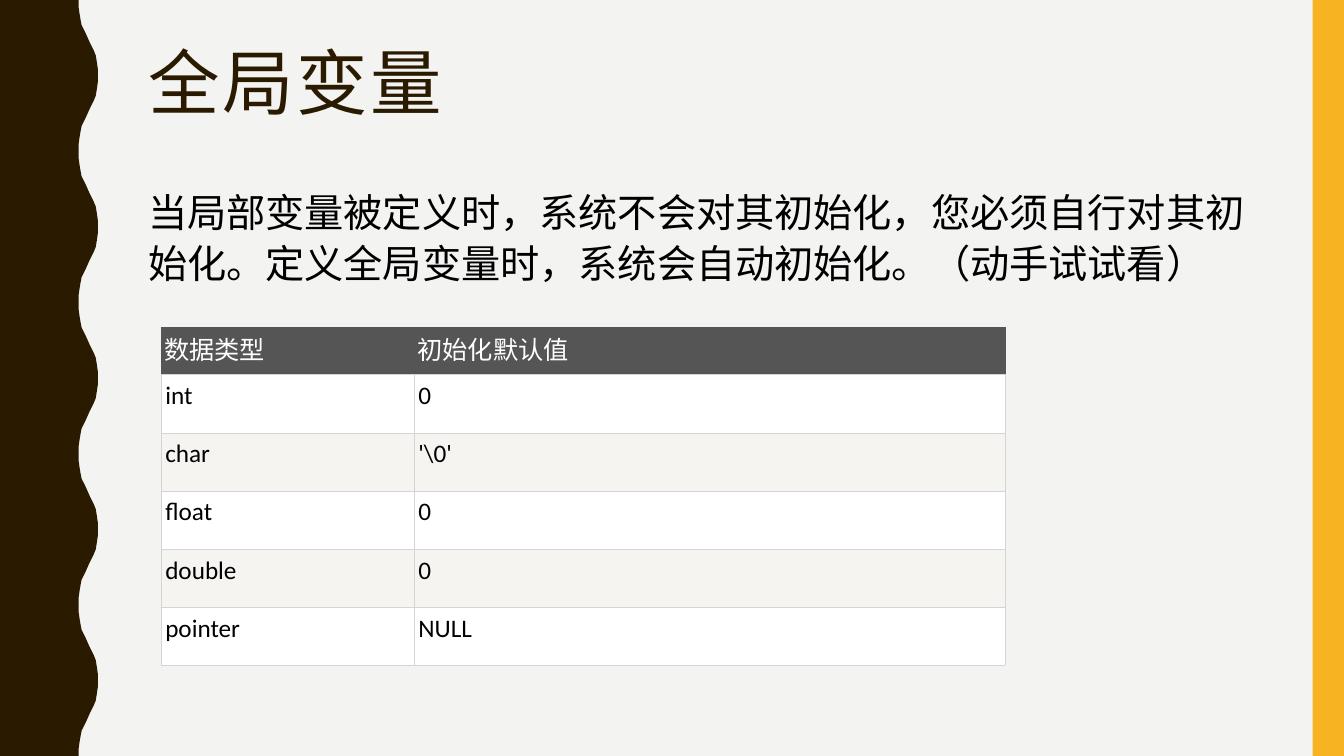
from dataclasses import dataclass
from typing import NamedTuple

from lxml import etree
from pptx import Presentation, util as u
from pptx.dml.color import RGBColor
from pptx.enum import shapes, text
from pptx.oxml.ns import qn

WIDE, HIGH = u.Inches(13.33), u.Inches(7.5)


@dataclass(frozen=True)
class Theme:
    back: str = "F3F3F2"
    dark: str = "2A1A00"
    gold: str = "F8B323"
    ink: str = "000000"
    white: str = "FFFFFF"
    band: str = "F6F4F0"
    head: str = "555555"
    rule: str = "D4D4D4"
    title: float = 51
    body: float = 28
    cell: float = 18
    face: str = "Roboto Condensed"
    font: str = "Calibri"


class Box(NamedTuple):
    """Left, top, width and height in percent of the slide."""
    x: float
    y: float
    w: float
    h: float

    def place(self) -> tuple[int, int, int, int]:
        return (round(self.x * WIDE / 100), round(self.y * HIGH / 100),
                round(self.w * WIDE / 100), round(self.h * HIGH / 100))


class Row(NamedTuple):
    kind: str
    value: str


T = Theme()


def color(code: str) -> RGBColor:
    return RGBColor.from_string(code)


def paint(shape, code: str) -> None:
    shape.shadow.inherit = False
    shape.fill.solid()
    shape.fill.fore_color.rgb = color(code)
    shape.line.fill.background()


def write(frame, words: str, face: str, size: float, code: str):
    frame.word_wrap = True
    para = frame.paragraphs[0]
    para.text = words
    para.alignment = text.PP_ALIGN.LEFT
    para.font.name, para.font.size = face, u.Pt(size)
    para.font.color.rgb = color(code)
    return para


def edge(cell, code: str, base: str) -> None:
    props = cell._tc.get_or_add_tcPr()
    for i, side in enumerate("LRTB"):
        line = etree.Element(qn(f"a:ln{side}"), w=str(u.Pt(0.6)))
        fill = etree.SubElement(line, qn("a:solidFill"))
        etree.SubElement(fill, qn("a:srgbClr"), val=base if side == "B" else code)
        props.insert(i, line)


def wave(slide) -> None:
    # Half a wave as (across, down) in hundredths of an inch, then mirrored
    half = [(78, 0), (78, 7), (79, 14), (80, 20), (81, 25), (83, 29), (85, 33),
            (89, 42), (93, 50), (95, 55), (96, 61), (97, 68), (97, 75)]
    span = 150
    full = half + [(x, span - y) for x, y in reversed(half[:-1])]
    edges = [(x, y + n * span) for n in range(5) for x, y in full]
    form = slide.shapes.build_freeform(0, 0, scale=u.Inches(0.01))
    form.add_line_segments(edges + [(0, 750)], close=True)
    paint(form.convert_to_shape(), T.dark)


def grid(slide, box: Box, rows: list[Row], cols: tuple, top: float) -> None:
    left, y, wide, high = box.place()
    table = slide.shapes.add_table(len(rows), len(cols), left, y, wide, high).table
    table.first_row = table.horz_banding = False
    for col, share in zip(table.columns, cols):
        col.width = round(wide * share)
    first = round(high * top)
    for r, row in enumerate(rows):
        head = r == 0
        table.rows[r].height = first if head else (high - first) // (len(rows) - 1)
        fill = T.head if head else T.white if r % 2 else T.band
        for c, words in enumerate(row):
            cell = table.cell(r, c)
            cell.margin_left = cell.margin_right = u.Inches(0.03 if head else 0.04)
            cell.margin_top = cell.margin_bottom = u.Inches(0.03 if head else 0.06)
            cell.fill.solid()
            cell.fill.fore_color.rgb = color(fill)
            edge(cell, T.head if head else T.rule, T.rule)
            write(cell.text_frame, words, T.font, T.cell, T.white if head else T.ink)


# Slide and background
deck = Presentation()
deck.slide_width, deck.slide_height = WIDE, HIGH
slide = deck.slides.add_slide(deck.slide_layouts[5])
slide.background.fill.solid()
slide.background.fill.fore_color.rgb = color(T.back)

# Side bands
wave(slide)
bar = slide.shapes.add_shape(shapes.MSO_SHAPE.RECTANGLE, *Box(97.67, 0, 2.33, 100).place())
paint(bar, T.gold)

# Title
title = slide.shapes.title
title.left, title.top, title.width, title.height = Box(10.28, 5.6, 83.5, 21.73).place()
frame = title.text_frame
frame.auto_size = text.MSO_AUTO_SIZE.NONE
frame.vertical_anchor = text.MSO_ANCHOR.TOP
para = write(frame, "全局变量", T.face, T.title, T.dark)
para.line_spacing = 0.9
para.runs[0]._r.get_or_add_rPr().set("spc", "200")

# Body
body = slide.shapes.add_textbox(*Box(10.28, 23.6, 83.5, 62.13).place())
para = write(body.text_frame,
             "当局部变量被定义时，系统不会对其初始化，您必须自行对其初始化。"
             "定义全局变量时，系统会自动初始化。（动手试试看）",
             T.font, T.body, T.ink)
para.line_spacing, para.space_before = 1.1, u.Pt(7)

# Default values
rows = [Row("数据类型", "初始化默认值"), Row("int", "0"), Row("char", r"'\0'"),
        Row("float", "0"), Row("double", "0"), Row("pointer", "NULL")]
grid(slide, Box(12, 43.33, 62.78, 44.67), rows, cols=(0.3, 0.7), top=0.14)

deck.save("out.pptx")
